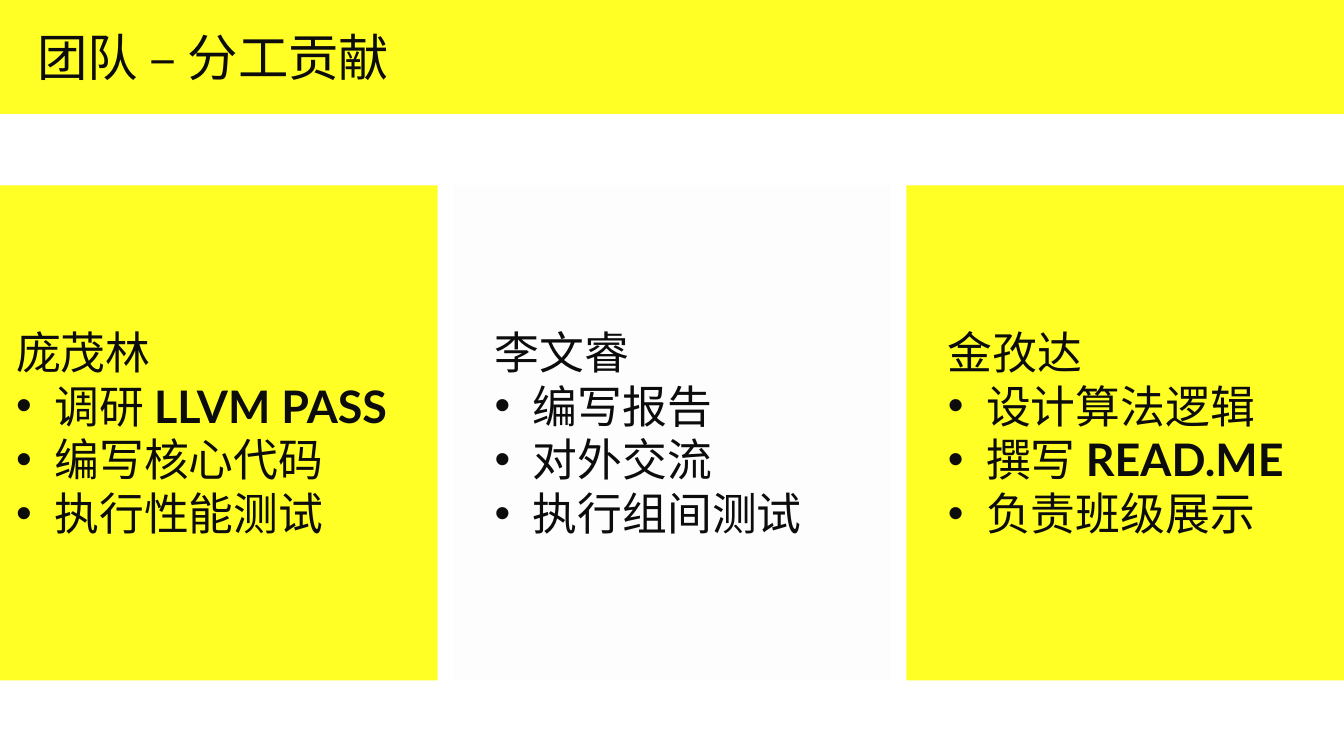
from lxml import etree
from pptx import Presentation
from pptx.dml.color import RGBColor
from pptx.enum.shapes import MSO_SHAPE
from pptx.enum.text import MSO_ANCHOR, MSO_AUTO_SIZE, PP_ALIGN
from pptx.oxml.ns import qn
from pptx.util import Inches, Pt

RECTANGLE = MSO_SHAPE.RECTANGLE
TOP = MSO_ANCHOR.TOP
NO_AUTOFIT = MSO_AUTO_SIZE.NONE
LEFT = PP_ALIGN.LEFT

YELLOW = RGBColor(0xFF, 0xFF, 0x00)
PALE = RGBColor(0xFD, 0xFD, 0xFD)
INK = RGBColor(0x0C, 0x0C, 0x0C)

SLIDE_WIDTH, SLIDE_HEIGHT = 13.33, 7.5
COMPARISON_LAYOUT = 4

# Three equal columns, spread from edge to edge
PANEL_WIDTH, PANEL_HEIGHT, PANEL_TOP = 4.34, 4.91, 1.84
COLUMN_STEP = (SLIDE_WIDTH - PANEL_WIDTH) / 2
LIST_TOP, LIST_HEIGHT = 3.17, 2.26

# Panel colour, text inset, text width, name, tasks as (text, bold) runs
MEMBERS = [
    (YELLOW, 0.06, 4.23, "庞茂林",
     [[("调研 ", False), ("LLVM PASS", True)], [("编写核心代码", False)], [("执行性能测试", False)]]),
    (PALE, 0.31, 3.27, "李文睿",
     [[("编写报告", False)], [("对外交流", False)], [("执行组间测试", False)]]),
    (YELLOW, 0.31, 3.7, "金孜达",
     [[("设计算法逻辑", False)], [("撰写 ", False), ("READ.ME", True)], [("负责班级展示", False)]]),
]


class SlideBuilder:
    """Holds the text style and the slide being built."""

    def __init__(self, slide, font_name="Lato", color=INK):
        self.slide = slide
        self.font_name = font_name
        self.color = color

    def panel(self, left, top, width, height, color, opacity=85):
        shape = self.slide.shapes.add_shape(
            RECTANGLE, Inches(left), Inches(top), Inches(width), Inches(height))
        shape.shadow.inherit = False
        shape.line.fill.background()
        shape.fill.solid()
        shape.fill.fore_color.rgb = color
        color_element = shape.element.spPr.find(qn("a:solidFill"))[0]
        etree.SubElement(color_element, qn("a:alpha"), val=str(opacity * 1000))

    def place(self, placeholder, left, top, width, height):
        """Move a placeholder to the front and return its text frame."""
        placeholder.left, placeholder.top = Inches(left), Inches(top)
        placeholder.width, placeholder.height = Inches(width), Inches(height)
        element = placeholder.element
        element.getparent().append(element)
        frame = placeholder.text_frame
        frame.word_wrap = True
        frame.auto_size = NO_AUTOFIT
        frame.vertical_anchor = TOP
        return frame

    def fill_paragraph(self, paragraph, runs, size, bullet=False):
        paragraph.alignment = LEFT
        paragraph.space_before = Pt(0)
        paragraph.line_spacing = 1.0
        for text, bold in runs:
            run = paragraph.add_run()
            run.text = text
            run.font.name = self.font_name
            run.font.size = Pt(size)
            run.font.bold = bold
            run.font.color.rgb = self.color
        properties = paragraph._p.get_or_add_pPr()
        indent = Inches(0.38) if bullet else 0
        properties.set("marL", str(int(indent)))
        properties.set("indent", str(-int(indent)))
        if bullet:
            etree.SubElement(properties, qn("a:buFont"), typeface="Arial")
            etree.SubElement(properties, qn("a:buChar"), char="•")
        else:
            etree.SubElement(properties, qn("a:buNone"))

    def title(self, text, *box):
        frame = self.place(self.slide.shapes.title, *box)
        self.fill_paragraph(frame.paragraphs[0], [(text, False)], 36)

    def task_list(self, placeholder, name, tasks, *box):
        frame = self.place(placeholder, *box)
        self.fill_paragraph(frame.paragraphs[0], [(name, False)], 32)
        for runs in tasks:
            self.fill_paragraph(frame.add_paragraph(), runs, 32, bullet=True)


def main():
    presentation = Presentation()
    presentation.slide_width = Inches(SLIDE_WIDTH)
    presentation.slide_height = Inches(SLIDE_HEIGHT)
    slide = presentation.slides.add_slide(presentation.slide_layouts[COMPARISON_LAYOUT])
    builder = SlideBuilder(slide)
    bodies = list(slide.placeholders)[1:]

    # Title band
    builder.panel(0, 0, SLIDE_WIDTH, 1.13, YELLOW)
    builder.title("团队 – 分工贡献", 0.27, 0.21, 3.8, 0.71)

    # One panel and task list per member
    for column, (color, inset, width, name, tasks) in enumerate(MEMBERS):
        left = column * COLUMN_STEP
        builder.panel(left, PANEL_TOP, PANEL_WIDTH, PANEL_HEIGHT, color)
        builder.task_list(bodies[column], name, tasks,
                          left + inset, LIST_TOP, width, LIST_HEIGHT)

    # Placeholders left empty
    for placeholder in bodies[len(MEMBERS):]:
        placeholder.element.getparent().remove(placeholder.element)

    presentation.save("out.pptx")


if __name__ == "__main__":
    main()
